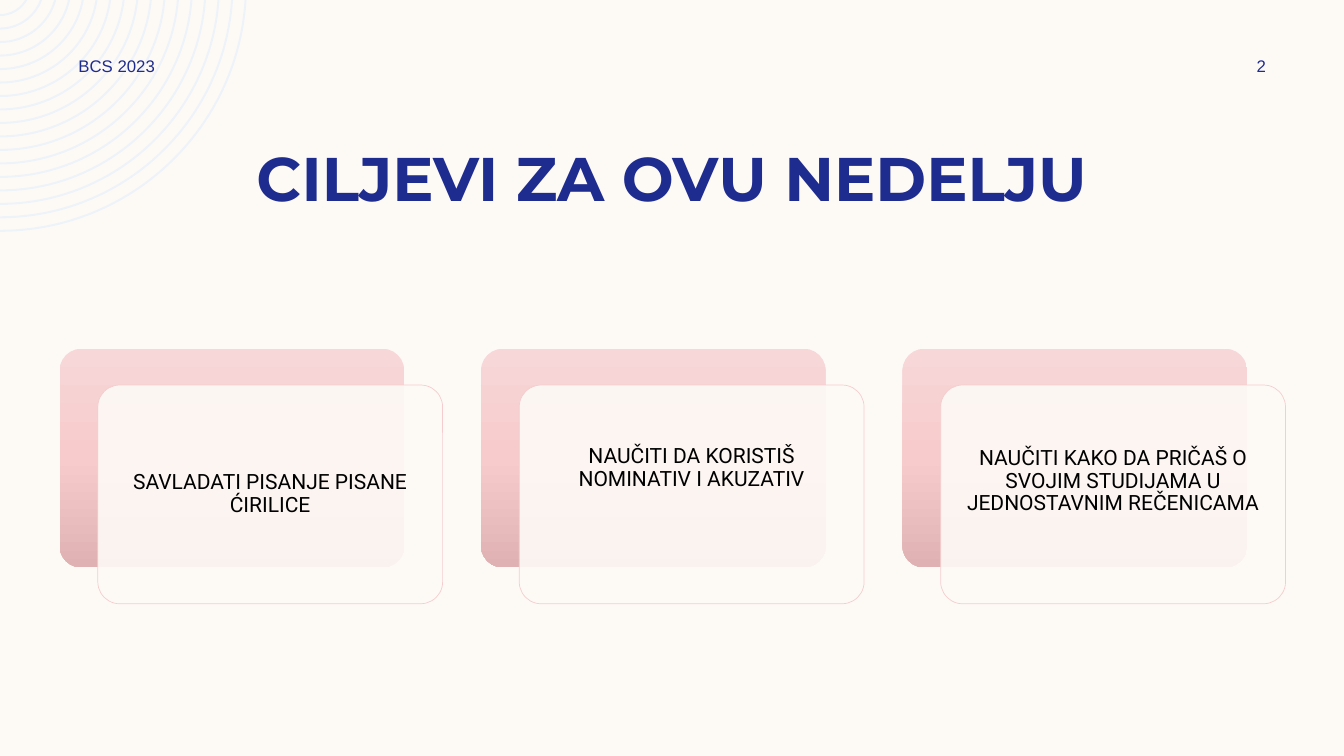
from copy import deepcopy
from math import asin, cos, pi, sin, tan

from lxml import etree
from pptx import Presentation
from pptx.dml.color import RGBColor
from pptx.enum.shapes import MSO_SHAPE
from pptx.enum.text import MSO_ANCHOR, PP_ALIGN
from pptx.oxml.ns import qn
from pptx.util import Inches, Pt

ROUND = MSO_SHAPE.ROUNDED_RECTANGLE
MIDDLE, BOTTOM = MSO_ANCHOR.MIDDLE, MSO_ANCHOR.BOTTOM
LEFT, CENTER = PP_ALIGN.LEFT, PP_ALIGN.CENTER

CREAM = RGBColor(0xFD, 0xFA, 0xF6)
NAVY = RGBColor(0x1F, 0x2C, 0x8F)
BLACK = RGBColor(0, 0, 0)
PALE = RGBColor(0xEE, 0xF3, 0xFA)
EDGE = RGBColor(0xF5, 0xCD, 0xCE)
ROSE = [(0, RGBColor(0xF7, 0xD7, 0xD8)),
        (0.5, RGBColor(0xF7, 0xCB, 0xCC)),
        (1, RGBColor(0xDF, 0xB1, 0xB2))]

# Card text, and how far it sits above the card's middle
GOALS = [("SAVLADATI PISANJE PISANE ĆIRILICE", 0),
         ("NAUČITI DA KORISTIŠ NOMINATIV I AKUZATIV", 0.26),
         ("NAUČITI KAKO DA PRIČAŠ O SVOJIM STUDIJAMA U JEDNOSTAVNIM REČENICAMA", 0.13)]


def arc(radius, drop):
    """Four Bezier points from the slide's top edge down to its left edge."""
    start = asin(drop / radius)
    pull = radius * 4 / 3 * tan((pi / 2 - start) / 4)
    x, y = radius * cos(start), radius * sin(start)
    curve = [(x, y), (x - pull * sin(start), y + pull * cos(start)),
             (pull, radius), (0, radius)]
    return [(Inches(px), Inches(py - drop)) for px, py in curve]


def bend(lines):
    """Turn three straight segments into one curve through their points."""
    curve = etree.Element(qn("a:cubicBezTo"))
    lines[0].addprevious(curve)
    for line in lines:
        curve.append(line[0])
        line.getparent().remove(line)


class Page:
    def __init__(self, slide):
        self.shapes = slide.shapes
        fill = slide.background.fill
        fill.solid()
        fill.fore_color.rgb = CREAM

    def text(self, words, x, y, w, h, font, size, color, align=CENTER,
             anchor=MIDDLE, bold=False, inset=None, space=1.0):
        box = self.shapes.add_textbox(Inches(x), Inches(y), Inches(w), Inches(h))
        frame = box.text_frame
        frame.word_wrap = True
        frame.vertical_anchor = anchor
        if inset is not None:
            frame.margin_left = frame.margin_right = Inches(inset)
            frame.margin_top = frame.margin_bottom = Inches(inset)
        para = frame.paragraphs[0]
        para.text = words
        para.alignment = align
        para.line_spacing = space
        para.font.name = font
        para.font.size = Pt(size)
        para.font.bold = bold
        para.font.color.rgb = color

    def panel(self, x, y, w, h):
        box = self.shapes.add_shape(ROUND, Inches(x), Inches(y), Inches(w), Inches(h))
        box.adjustments[0] = 0.1
        box.shadow.inherit = False
        return box

    def shade(self, x, y, w, h):
        box = self.panel(x, y, w, h)
        box.line.fill.background()
        box.fill.gradient()
        box.fill.gradient_angle = 270
        stops = box._element.spPr.find(".//" + qn("a:gsLst"))
        stops.insert(1, deepcopy(stops[0]))
        for stop, (place, color) in zip(box.fill.gradient_stops, ROSE):
            stop.position = place
            stop.color.rgb = color

    def glass(self, x, y, w, h):
        box = self.panel(x, y, w, h)
        box.fill.solid()
        box.fill.fore_color.rgb = CREAM
        tint = box._element.spPr.find(qn("a:solidFill"))[0]
        etree.SubElement(tint, qn("a:alpha")).set("val", "90000")
        box.line.color.rgb = EDGE
        box.line.width = Pt(0.5)

    def card(self, words, lift, x, y, w=3.42, h=2.17):
        shift, gap = (0.38, 0.36), 0.06
        self.shade(x, y, w, h)
        x, y = x + shift[0], y + shift[1]
        self.glass(x, y, w, h)
        self.text(words, x + gap, y + gap - lift, w - 2 * gap, h - 2 * gap,
                  "Roboto", 15, BLACK, inset=gap, space=0.9)

    def ring(self, radius, thick=0.02, drop=0.15):
        points = arc(radius, drop) + arc(radius - thick, drop)[::-1]
        path = self.shapes.build_freeform(*points[0])
        path.add_line_segments(points[1:], close=True)
        shape = path.convert_to_shape()
        lines = list(shape._element.iter(qn("a:lnTo")))
        bend(lines[:3])
        bend(lines[4:7])
        shape.shadow.inherit = False
        shape.fill.solid()
        shape.fill.fore_color.rgb = PALE
        shape.line.fill.background()


def main():
    deck = Presentation()
    deck.slide_width, deck.slide_height = Inches(13.33), Inches(7.5)
    page = Page(deck.slides.add_slide(deck.slide_layouts[6]))

    # Corner ornament: 17 evenly spaced rings
    for i in range(17):
        page.ring(2.45 - 2.14 * i / 16)

    # Title, footer and page number
    page.text("CILJEVI ZA OVU NEDELJU", 0.83, 1.33, 11.67, 0.84,
              "Montserrat", 44, NAVY, anchor=BOTTOM, bold=True)
    page.text("BCS 2023", 0.68, 0.5, 3.5, 0.3, "Arial", 12, NAVY, align=LEFT)
    page.text("2", 11.97, 0.5, 1.08, 0.3, "Arial", 12, NAVY)

    # Goal cards
    for i, (words, lift) in enumerate(GOALS):
        page.card(words, lift, 0.59 + 4.18 * i, 3.46)

    deck.save("out.pptx")


if __name__ == "__main__":
    main()
